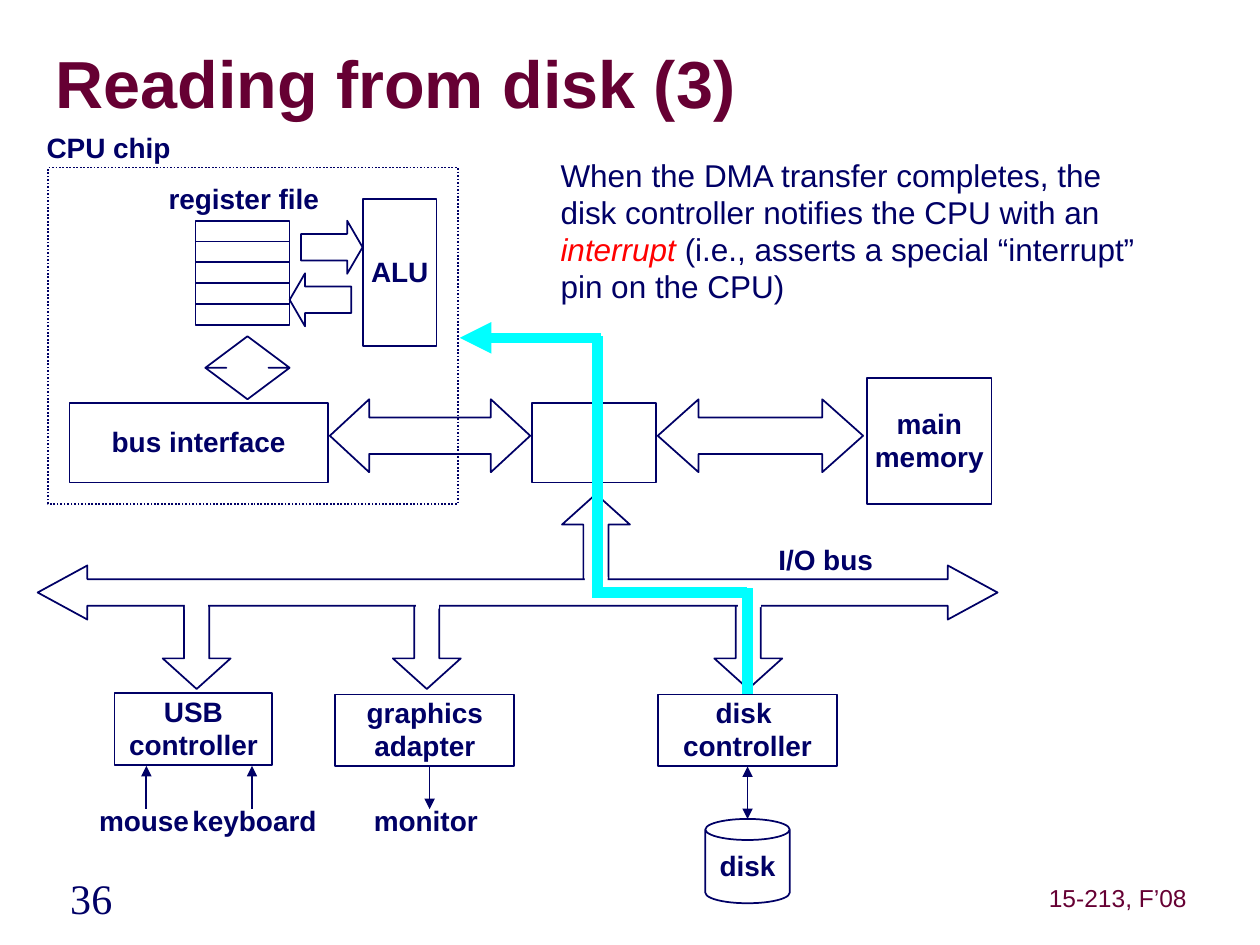
from lxml.etree import SubElement
from pptx import Presentation
from pptx.dml.color import RGBColor
from pptx.enum.dml import MSO_LINE
from pptx.enum.shapes import MSO_CONNECTOR, MSO_SHAPE as S
from pptx.enum.text import MSO_ANCHOR as ANCHOR, PP_ALIGN as ALIGN
from pptx.oxml.ns import qn
from pptx.util import Cm, Pt

NAVY, MAROON, CYAN, RED, WHITE = "000066", "660033", "00FFFF", "FF0000", "FFFFFF"

# Boxes: text lines, (left, top, width, height) in cm
BOXES = {
    "memory": (["main", "memory"], (17.48, 7.62, 2.51, 2.54)),
    "bridge": ([], (10.72, 8.13, 2.51, 1.6)),
    "bus interface": (["bus interface"], (1.4, 8.13, 5.21, 1.6)),
    "ALU": (["ALU"], (7.32, 4.01, 1.48, 2.97)),
    "USB": (["USB", "controller"], (2.31, 13.97, 3.18, 1.45)),
    "graphics": (["graphics", "adapter"], (6.76, 14, 3.61, 1.45)),
    "disk controller": (["disk ", "controller"], (13.26, 14, 3.62, 1.45)),
}
CPU_CHIP = (0.97, 3.38, 8.26, 6.78)
REGISTER_COUNT, REGISTER_LEFT, REGISTER_TOP = 5, 3.94, 4.45
REGISTER_WIDTH, REGISTER_HEIGHT = 1.9, 0.42
DISK = (14.22, 16.51, 1.7, 1.7)

# Block arrows: preset, place, adjustments
BRANCH = (0.37, 0.45)
ARROWS = [
    (S.LEFT_RIGHT_ARROW, (13.26, 8.05, 4.14, 1.47), (0.5, 0.56)),
    (S.LEFT_RIGHT_ARROW, (6.65, 8.05, 4.04, 1.47), (0.5, 0.54)),
    (S.RIGHT_ARROW, (6.07, 4.45, 1.24, 1.07), (0.5, 0.29)),
    (S.LEFT_ARROW, (5.84, 5.51, 1.24, 1.07), (0.5, 0.29)),
    (S.UP_DOWN_ARROW, (4.14, 6.78, 1.7, 1.27), (0.2, 0.5)),
    (S.UP_ARROW, (11.33, 9.96, 1.37, 1.9), BRANCH),
] + [(S.DOWN_ARROW, (left, 11.99, 1.37, 1.9), BRANCH) for left in (3.28, 7.92, 14.4)]
IO_BUS = (0.76, 11.4, 19.35, 1.09)
BUS_OPENINGS = [(3.73, 11.86), (8.39, 11.84), (14.88, 11.81), (11.79, 11.63)]

LABELS = [
    ("register file", (3.15, 3.56, 3.53, 0.91)),
    ("CPU chip", (0.69, 2.54, 3, 0.91)),
    ("mouse", (1.75, 16.1, 2.31, 0.91)),
    ("keyboard", (3.63, 16.1, 3, 0.91)),
    ("monitor", (7.29, 16.1, 2.59, 0.91)),
    ("I/O bus", (15.44, 10.85, 2.41, 0.91)),
]

# Device lines: start, end, which ends have arrowheads
DEVICE_LINES = [
    ((2.95, 15.44), (2.95, 16.31), ["head"]),
    ((5.08, 15.44), (5.08, 16.31), ["head"]),
    ((8.66, 15.44), (8.66, 16.31), ["tail"]),
]
INTERRUPT_PATH = [
    ((12.12, 6.81), (9.27, 6.81), ["tail"]),
    ((12.04, 6.78), (12.04, 11.86), []),
    ((11.94, 11.94), (15.06, 11.94), []),
]
EXPLANATION = [
    ("When the DMA transfer completes, the disk controller notifies the CPU with an ",
     NAVY, False),
    ("interrupt", RED, True),
    (" (i.e., asserts a special “interrupt” pin on the CPU)", NAVY, False),
]

deck = Presentation()
deck.slide_width, deck.slide_height = Cm(25.4), Cm(19.05)
slide = deck.slides.add_slide(deck.slide_layouts[6])


def color(hex_string):
    return RGBColor.from_string(hex_string)


def write(shape, lines, size=16, ink=NAVY, bold=True, font="Arial", align=ALIGN.CENTER,
          spacing=0.98, margins=(0.25, 0.13)):
    frame = shape.text_frame
    frame.word_wrap = False
    frame.vertical_anchor = ANCHOR.MIDDLE
    frame.margin_left = frame.margin_right = Cm(margins[0])
    frame.margin_top = frame.margin_bottom = Cm(margins[1])
    for i, line in enumerate(lines):
        paragraph = frame.paragraphs[0] if i == 0 else frame.add_paragraph()
        paragraph.text = line
        paragraph.alignment, paragraph.line_spacing = align, spacing
        face = paragraph.font
        face.name, face.size, face.bold = font, Pt(size), bold
        face.color.rgb = color(ink)


def text_box(place, lines, **style):
    box = slide.shapes.add_textbox(*map(Cm, place))
    write(box, lines, **style)
    return box


def draw(preset, place, adjustments=(), fill=None, outline=NAVY):
    shape = slide.shapes.add_shape(preset, *map(Cm, place))
    shape.shadow.inherit = False
    for i, value in enumerate(adjustments):
        shape.adjustments[i] = value
    if fill:
        shape.fill.solid()
        shape.fill.fore_color.rgb = color(fill)
    else:
        shape.fill.background()
    if outline:
        shape.line.color.rgb = color(outline)
        shape.line.width = Pt(1)
    else:
        shape.line.fill.background()
    return shape


def connect(start, end, heads, ink=NAVY, width=1):
    line = slide.shapes.add_connector(MSO_CONNECTOR.STRAIGHT, *map(Cm, start + end))
    line.line.color.rgb = color(ink)
    line.line.width = Pt(width)
    for head in heads:
        SubElement(line.line._get_or_add_ln(), qn(f"a:{head}End"), type="triangle")
    SubElement(line._element.spPr, qn("a:effectLst"))
    return line


text_box((1.12, 0.69, 24.2, 2.18), ["Reading from disk (3)"], size=38, ink=MAROON,
         align=ALIGN.LEFT, spacing=0.85, margins=(0, 0))
text_box((-0.05, 17.63, 3.78, 1.09), ["36"], size=24, bold=False,
         font="Times New Roman", spacing=0.83, margins=(0.13, 0.13))
text_box((21.01, 17.75, 3.05, 0.79), ["15-213, F’08"], size=14, ink=MAROON,
         bold=False, spacing=0.88, margins=(0, 0.13))

draw(S.RECTANGLE, CPU_CHIP).line.dash_style = MSO_LINE.ROUND_DOT
boxes = {}
for key, (lines, place) in BOXES.items():
    boxes[key] = draw(S.RECTANGLE, place)
    write(boxes[key], lines)
for i in range(REGISTER_COUNT):
    draw(S.RECTANGLE, (REGISTER_LEFT, REGISTER_TOP + i * REGISTER_HEIGHT,
                       REGISTER_WIDTH, REGISTER_HEIGHT))
write(draw(S.CAN, DISK, (0.25,)), ["disk"])

for preset, place, adjustments in ARROWS:
    draw(preset, place, adjustments)
draw(S.LEFT_RIGHT_ARROW, IO_BUS, (0.49, 0.92), fill=WHITE)
for left, top in BUS_OPENINGS:
    draw(S.RECTANGLE, (left, top, 0.46, 0.43), fill=WHITE, outline=None)

for label, place in LABELS:
    text_box(place, [label], margins=(0, 0.13))
for start, end, heads in DEVICE_LINES:
    connect(start, end, heads)
disk_link = connect((15.07, 15.45), (15.07, 16.51), ["head", "tail"])
disk_link.begin_connect(boxes["disk controller"], 2)

for start, end, heads in INTERRUPT_PATH:
    connect(start, end, heads, CYAN, 6)
interrupt_source = connect((15.07, 11.86), (15.07, 14), [], CYAN, 6)
interrupt_source.end_connect(boxes["disk controller"], 0)

explanation = text_box((11.05, 3.05, 12.22, 3.25), [""], size=18, bold=False,
                       align=ALIGN.LEFT)
explanation.text_frame.word_wrap = True
explanation.text_frame.vertical_anchor = ANCHOR.TOP
for words, ink, italic in EXPLANATION:
    run = explanation.text_frame.paragraphs[0].add_run()
    run.text = words
    run.font.name, run.font.size, run.font.italic = "Arial", Pt(18), italic
    run.font.color.rgb = color(ink)

deck.save("out.pptx")
